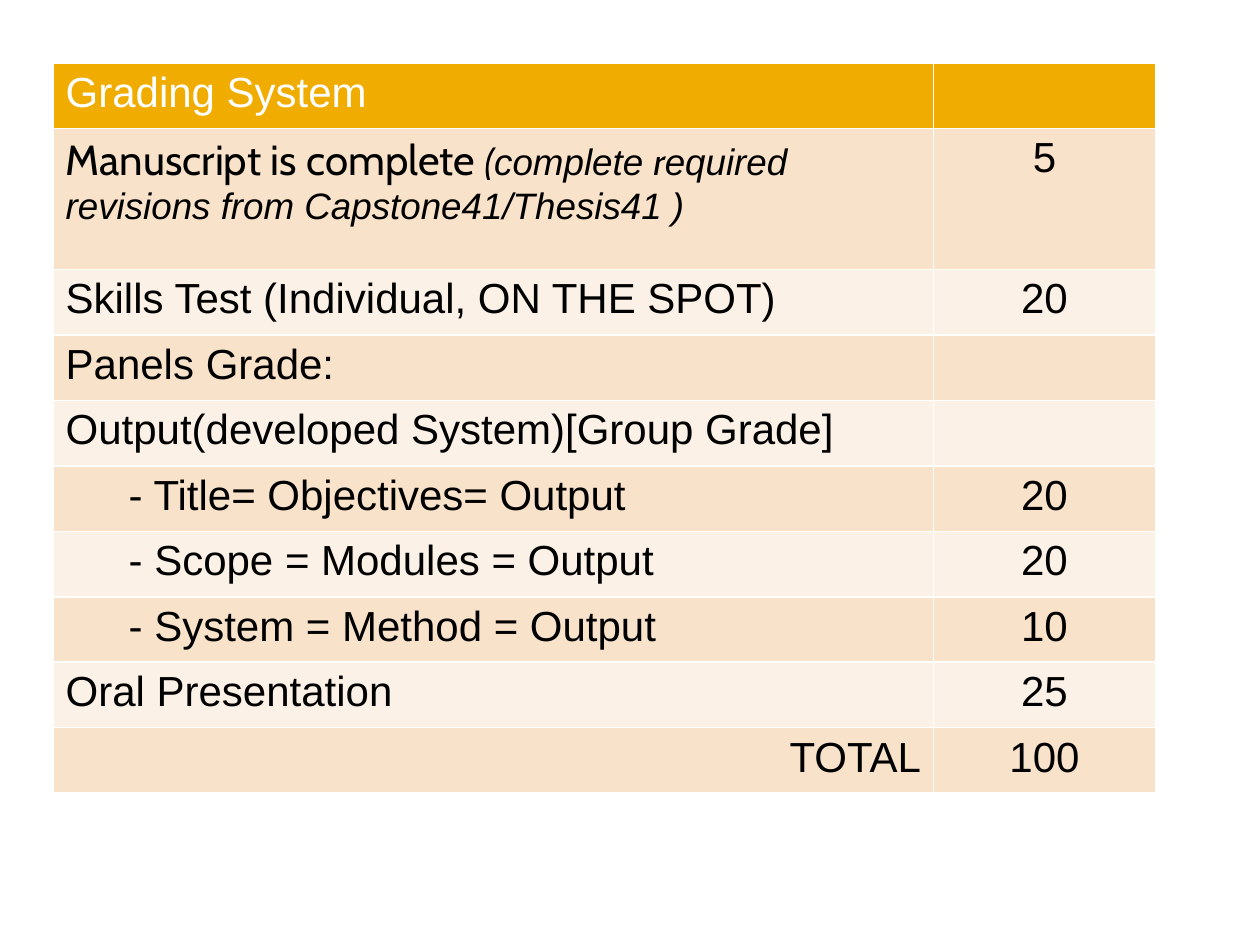
from dataclasses import dataclass

from pptx import Presentation
from pptx.dml.color import RGBColor
from pptx.enum.text import PP_ALIGN
from pptx.util import Cm, Pt

LEFT, CENTER, RIGHT = PP_ALIGN.LEFT, PP_ALIGN.CENTER, PP_ALIGN.RIGHT
BLANK_LAYOUT = 6


@dataclass(frozen=True)
class Theme:
    header_fill: RGBColor = RGBColor(0xF0, 0xAD, 0x00)
    band_fills: tuple = (RGBColor(0xFC, 0xF1, 0xE6), RGBColor(0xF9, 0xE2, 0xCA))
    header_text: RGBColor = RGBColor(0xFF, 0xFF, 0xFF)
    body_text: RGBColor = RGBColor(0x00, 0x00, 0x00)
    body_font: str = "Arial"
    accent_font: str = "Cabin"
    body_size: Pt = Pt(24)
    note_size: Pt = Pt(21)


@dataclass(frozen=True)
class Span:
    text: str
    font: str = Theme.body_font
    size: Pt = Theme.body_size
    italic: bool = False


@dataclass(frozen=True)
class Criterion:
    spans: tuple
    points: str = ""
    level: int = 0
    align: PP_ALIGN = LEFT


class SlideBuilder:
    def __init__(self, page, theme):
        self.page = page
        self.theme = theme

    def write_cell(self, cell, spans, color, align=LEFT, level=0):
        para = cell.text_frame.paragraphs[0]
        para.alignment = align
        para.level = level
        for span in spans:
            run = para.add_run()
            run.text = span.text
            run.font.name = span.font
            run.font.size = span.size
            run.font.color.rgb = color
            if span.italic:
                run.font.italic = True

    def add_grading_table(self, criteria, left, top, widths, heights):
        frame = self.page.shapes.add_table(
            len(criteria), len(widths), left, top, sum(widths), sum(heights))
        table = frame.table
        for column, width in zip(table.columns, widths):
            column.width = width
        for index, (criterion, height) in enumerate(zip(criteria, heights)):
            table.rows[index].height = height
            is_header = index == 0
            fill = self.theme.header_fill if is_header else self.theme.band_fills[index % 2]
            color = self.theme.header_text if is_header else self.theme.body_text
            label, points = table.cell(index, 0), table.cell(index, 1)
            for cell in (label, points):
                cell.fill.solid()
                cell.fill.fore_color.rgb = fill
            self.write_cell(label, criterion.spans, color, criterion.align, criterion.level)
            if criterion.points:
                self.write_cell(points, [Span(criterion.points)], color, CENTER)


def main():
    theme = Theme()
    deck = Presentation()
    deck.slide_width, deck.slide_height = Cm(25.4), Cm(19.05)
    page = deck.slides.add_slide(deck.slide_layouts[BLANK_LAYOUT])
    builder = SlideBuilder(page, theme)

    # Manuscript row mixes two fonts and an italic note
    manuscript = (
        Span("Manuscript is complete ", theme.accent_font),
        Span("(", theme.accent_font, theme.note_size, True),
        Span("complete ", size=theme.note_size, italic=True),
        Span("r", theme.accent_font, theme.note_size, True),
        Span("equired revisions from Capstone41/Thesis41 )",
             size=theme.note_size, italic=True),
    )

    # Header, criteria and total
    criteria = [
        Criterion((Span("Grading System"),)),
        Criterion(manuscript, "5"),
        Criterion((Span("Skills Test (Individual, ON THE SPOT)"),), "20"),
        Criterion((Span("Panels Grade:"),)),
        Criterion((Span("Output(developed System)[Group Grade]"),)),
        Criterion((Span("- Title= Objectives= Output"),), "20", level=1),
        Criterion((Span("- Scope = Modules = Output"),), "20", level=1),
        Criterion((Span("- System = Method = Output"),), "10", level=1),
        Criterion((Span("Oral Presentation"),), "25"),
        Criterion((Span("TOTAL"),), "100", align=RIGHT),
    ]
    heights = [Cm(1.32)] * len(criteria)
    heights[1] = Cm(2.84)
    builder.add_grading_table(
        criteria, Cm(1.07), Cm(1.27), [Cm(17.75), Cm(4.47)], heights)

    deck.save("out.pptx")


if __name__ == "__main__":
    main()
